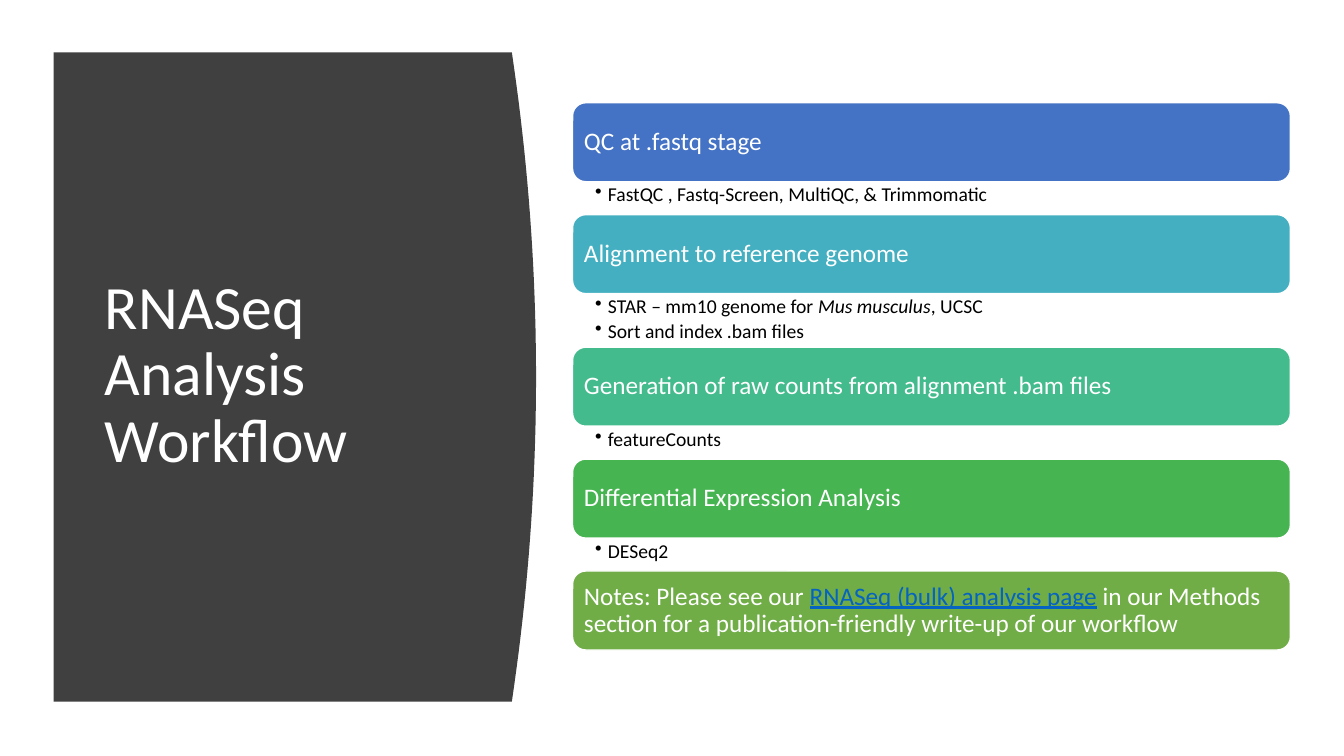
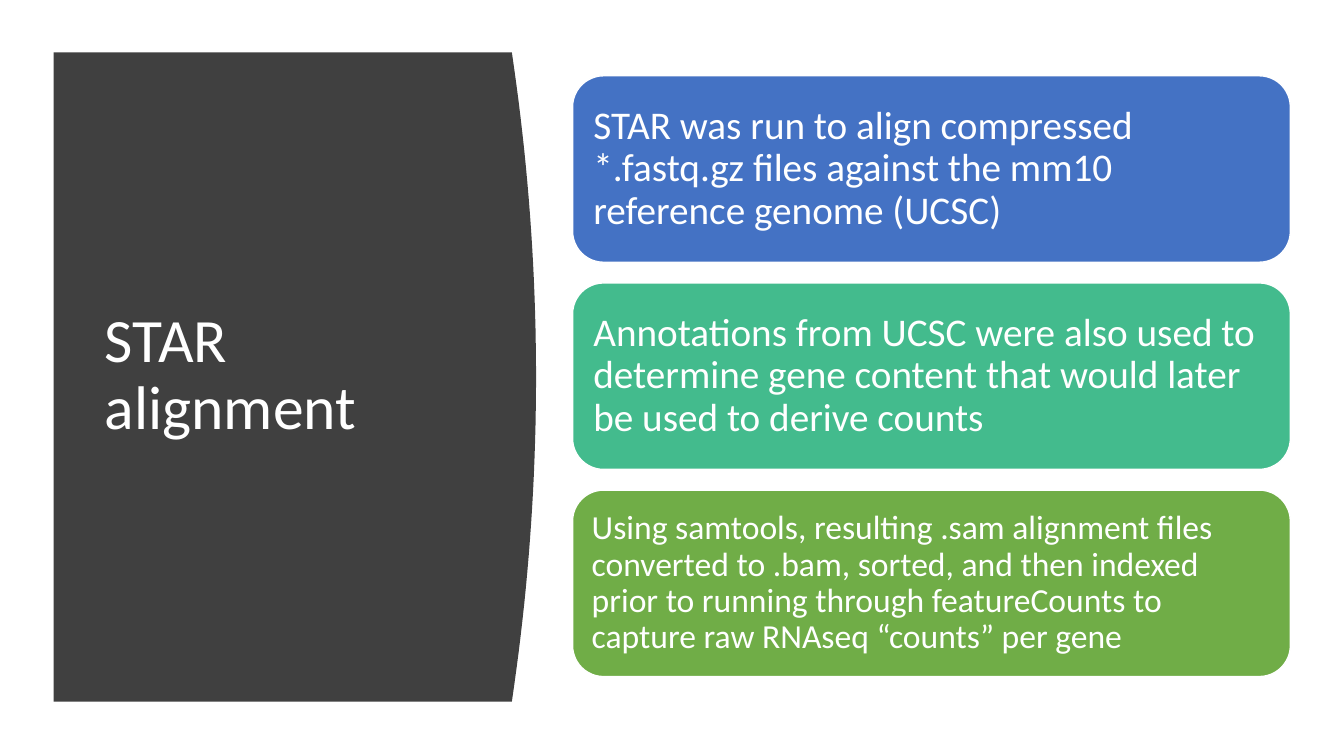
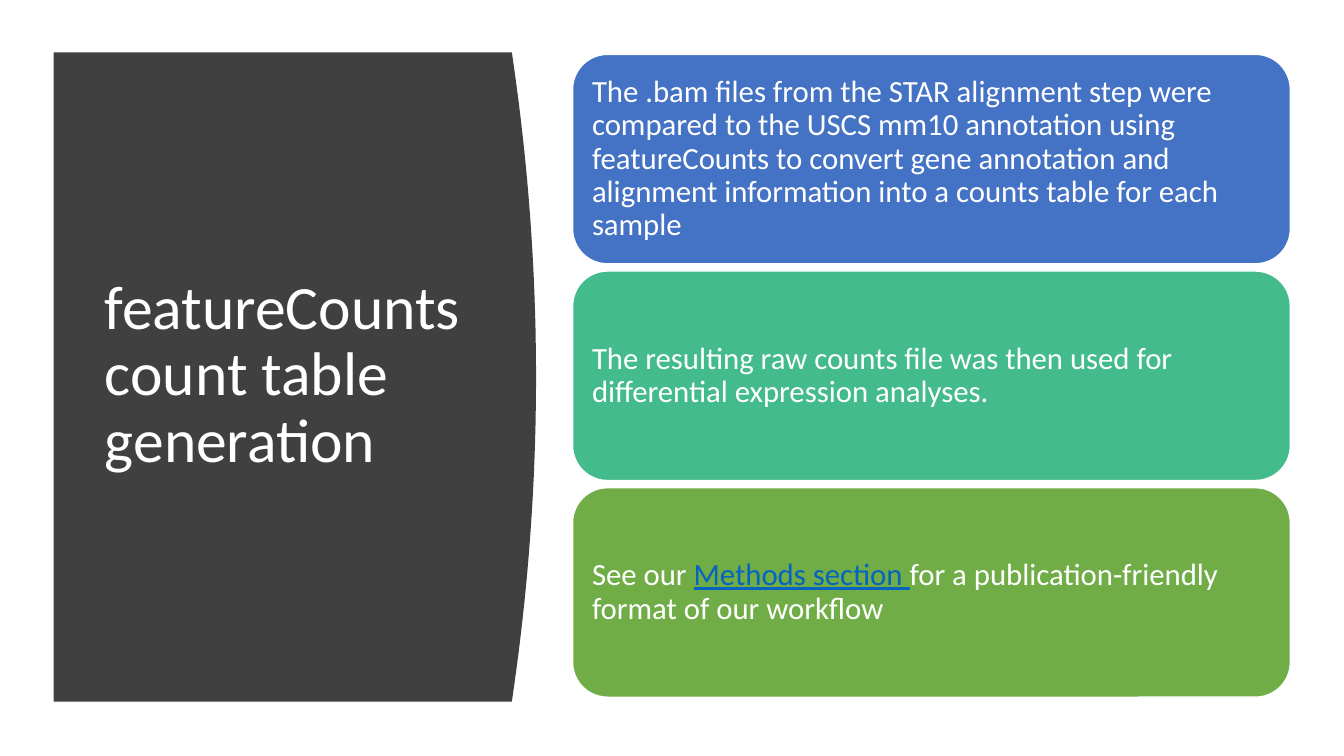
from lxml import etree
from pptx import Presentation
from pptx.dml.color import RGBColor
from pptx.enum.shapes import MSO_SHAPE
from pptx.enum.text import MSO_ANCHOR, PP_ALIGN
from pptx.oxml.ns import qn
from pptx.util import Cm, Pt

ROUNDED = MSO_SHAPE.ROUNDED_RECTANGLE
MIDDLE = MSO_ANCHOR.MIDDLE
LEFT = PP_ALIGN.LEFT

WHITE = RGBColor(0xFF, 0xFF, 0xFF)
BLACK = RGBColor(0x00, 0x00, 0x00)
CHARCOAL = RGBColor(0x40, 0x40, 0x40)
LINK_BLUE = RGBColor(0x05, 0x63, 0xC1)
BLUE = RGBColor(0x44, 0x72, 0xC4)
CYAN = RGBColor(0x43, 0xAF, 0xC0)
TEAL = RGBColor(0x43, 0xBB, 0x8D)
GREEN = RGBColor(0x45, 0xB4, 0x51)
OLIVE = RGBColor(0x70, 0xAD, 0x47)

FONT = "Calibri"
PLAIN, ITALIC, LINK = "plain", "italic", "link"

# Panel and cards, in centimetres
PANEL_LEFT, PANEL_TOP, PANEL_RIGHT, PANEL_BOTTOM = 1.35, 1.32, 12.9, 17.68
PANEL_BULGE, CURVE_STEPS = 0.61, 40
CARD_LEFT, CARD_WIDTH = 14.43, 18.09
BULLET_SIZE, BULLET_INDENT = 14, 0.32

# Each slide: title, top of first card, card height, gap, cards
# Each card: fill, text size, runs, bullets (a list of runs each)
SLIDES = [
    ("RNASeq Analysis Workflow", 2.59, 1.99, 0, [
        (BLUE, 18, [("QC at .fastq stage", PLAIN)],
         [[("FastQC , Fastq-Screen, MultiQC, & Trimmomatic", PLAIN)]]),
        (CYAN, 18, [("Alignment to reference genome", PLAIN)],
         [[("STAR – mm10 genome for ", PLAIN), ("Mus musculus", ITALIC), (", UCSC", PLAIN)],
          [("Sort and index .bam files", PLAIN)]]),
        (TEAL, 18, [("Generation of raw counts from alignment .bam files", PLAIN)],
         [[("featureCounts", PLAIN)]]),
        (GREEN, 18, [("Differential Expression Analysis", PLAIN)],
         [[("DESeq2", PLAIN)]]),
        (OLIVE, 18, [("Notes: Please see our ", PLAIN),
                     ("RNASeq (bulk) analysis page", LINK),
                     (" in our Methods section for a publication-friendly "
                      "write-up of our workflow", PLAIN)], []),
    ]),
    ("STAR alignment", 1.91, 4.7, 0.52, [
        (BLUE, 28, [("STAR was run to align compressed *.fastq.gz files against "
                     "the mm10 reference genome (UCSC)", PLAIN)], []),
        (TEAL, 28, [("Annotations from UCSC were also used to determine gene content "
                     "that would later be used to derive counts", PLAIN)], []),
        (OLIVE, 24, [("Using samtools, resulting .sam alignment files converted to .bam, "
                      "sorted, and then indexed prior to running through featureCounts "
                      "to capture raw RNAseq “counts” per gene", PLAIN)], []),
    ]),
    ("featureCounts count table generation", 1.37, 5.28, 0.18, [
        (BLUE, 22, [("The .bam files from the STAR alignment step were compared to the "
                     "USCS mm10 annotation using featureCounts to convert gene annotation "
                     "and alignment information into a counts table for each sample",
                     PLAIN)], []),
        (TEAL, 22, [("The resulting raw counts file was then used for differential "
                     "expression analyses.", PLAIN)], []),
        (OLIVE, 22, [("See our ", PLAIN), ("Methods section ", LINK),
                     ("for a publication-friendly format of our workflow", PLAIN)], []),
    ]),
]


def fill_paragraph(p, runs, size, color):
    p.alignment = LEFT
    p.line_spacing = 0.9
    for text, style in runs:
        r = p.add_run()
        r.text = text
        r.font.name = FONT
        r.font.size = Pt(size)
        r.font.color.rgb = LINK_BLUE if style == LINK else color
        if style == LINK:
            r.font.underline = True
        if style == ITALIC:
            r.font.italic = True


def set_frame(tf, left, top, right, bottom):
    """Wrap the text and set its margins in centimetres."""
    tf.word_wrap = True
    tf.margin_left, tf.margin_top = Cm(left), Cm(top)
    tf.margin_right, tf.margin_bottom = Cm(right), Cm(bottom)


prs = Presentation()
prs.slide_width, prs.slide_height = Cm(33.87), Cm(19.05)
layout = prs.slide_layouts[5]

# The right edge of the panel is a parabola
curve = []
for i in range(CURVE_STEPS + 1):
    t = i / CURVE_STEPS
    x = PANEL_RIGHT + PANEL_BULGE * (1 - (2 * t - 1) ** 2)
    y = PANEL_TOP + t * (PANEL_BOTTOM - PANEL_TOP)
    curve.append((Cm(x), Cm(y)))

for title_text, top, height, gap, cards in SLIDES:
    s = prs.slides.add_slide(layout)

    builder = s.shapes.build_freeform(Cm(PANEL_LEFT), Cm(PANEL_TOP))
    builder.add_line_segments(curve + [(Cm(PANEL_LEFT), Cm(PANEL_BOTTOM))], close=True)
    panel = builder.convert_to_shape()
    panel.shadow.inherit = False
    panel.fill.solid()
    panel.fill.fore_color.rgb = CHARCOAL
    panel.line.fill.background()

    title = s.shapes.title
    panel._element.addnext(title._element)
    title.left, title.top, title.width, title.height = Cm(2.39), Cm(2.82), Cm(9.5), Cm(13.31)
    title.text_frame.word_wrap = True
    title.text_frame.vertical_anchor = MIDDLE
    fill_paragraph(title.text_frame.paragraphs[0], [(title_text, PLAIN)], 44, WHITE)

    y = top
    for color, size, runs, bullets in cards:
        card = s.shapes.add_shape(ROUNDED, Cm(CARD_LEFT), Cm(y), Cm(CARD_WIDTH), Cm(height))
        card.shadow.inherit = False
        card.fill.solid()
        card.fill.fore_color.rgb = color
        card.line.color.rgb = WHITE
        card.line.width = Pt(1)
        inset = size * 0.3 * 2.54 / 72
        set_frame(card.text_frame, inset, inset, inset, inset)
        card.text_frame.vertical_anchor = MIDDLE
        fill_paragraph(card.text_frame.paragraphs[0], runs, size, WHITE)
        y += height + gap

        if bullets:
            body_height = 0.31 + 0.52 * len(bullets)
            body = s.shapes.add_textbox(Cm(CARD_LEFT), Cm(y), Cm(CARD_WIDTH), Cm(body_height))
            tf = body.text_frame
            set_frame(tf, 0.57, 0.08, 0.35, 0.08)
            for i, bullet in enumerate(bullets):
                p = tf.add_paragraph() if i else tf.paragraphs[0]
                fill_paragraph(p, bullet, BULLET_SIZE, BLACK)
                p.space_after = Pt(2.8)
                pPr = p._p.get_or_add_pPr()
                pPr.set("marL", str(Cm(BULLET_INDENT)))
                pPr.set("indent", str(-Cm(BULLET_INDENT)))
                etree.SubElement(pPr, qn("a:buChar")).set("char", "•")
            y += body_height

prs.save("out.pptx")
